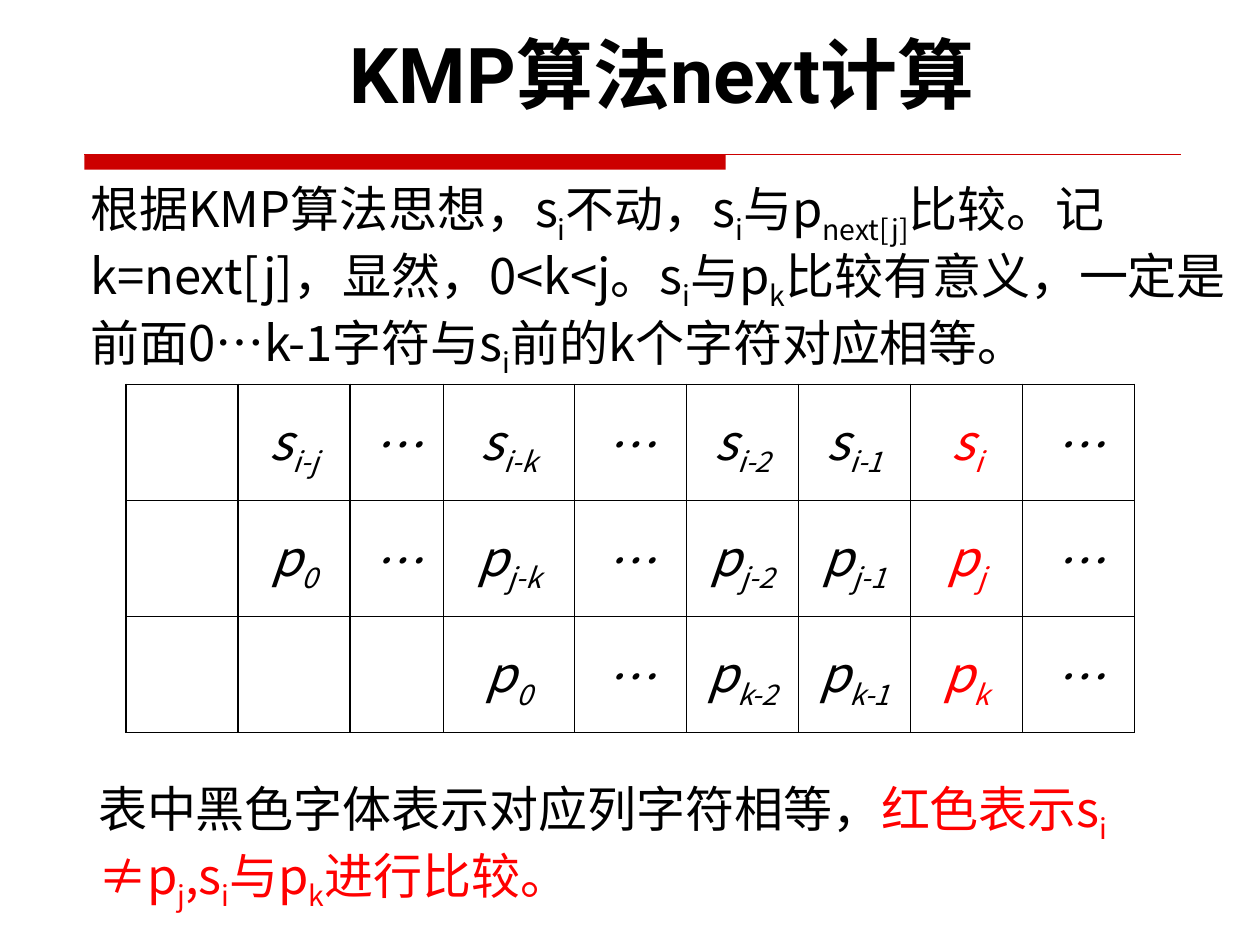
from dataclasses import dataclass

from lxml.etree import SubElement
from pptx import Presentation
from pptx.dml.color import RGBColor
from pptx.enum.shapes import MSO_CONNECTOR, MSO_SHAPE
from pptx.enum.text import MSO_ANCHOR, PP_ALIGN
from pptx.oxml.ns import qn
from pptx.util import Cm, Pt


@dataclass(frozen=True)
class Theme:
    black: RGBColor = RGBColor(0x00, 0x00, 0x00)
    white: RGBColor = RGBColor(0xFF, 0xFF, 0xFF)
    red: RGBColor = RGBColor(0xFF, 0x00, 0x00)
    rule: RGBColor = RGBColor(0xCC, 0x00, 0x00)
    body_font: str = "Noto Sans CJK SC"
    title_font: str = "Roboto"
    body_size: int = 28
    title_size: int = 44


THEME = Theme()
SUBSCRIPT = "-25000"

# In all texts, every second part between bars is a subscript
TITLE = "KMP算法next计算"
IDEA = (
    "根据KMP算法思想，s|i|不动，s|i|与p|next[j]|比较。记k=next[j]，显然，0<k<j。"
    "s|i|与p|k|比较有意义，一定是前面0…k-1字符与s|i|前的k个字符对应相等。"
)
LEGEND_BLACK = "表中黑色字体表示对应列字符相等，"
LEGEND_RED = "红色表示s|i |≠p|j|,s|i|与p|k|进行比较。"
ALIGNMENT_ROWS = [
    ["", "s|i-j", "…", "s|i-k", "…", "s|i-2", "s|i-1", "s|i", "…"],
    ["", "p|0", "…", "p|j-k", "…", "p|j-2", "p|j-1", "p|j", "…"],
    ["", "", "", "p|0", "…", "p|k-2", "p|k-1", "p|k", "…"],
]
COMPARED_COLUMN = 7
COLUMN_WIDTH = 2.26
SPECIAL_WIDTHS = {2: 1.88, 3: 2.64}
ROW_HEIGHT = 2.34


def add_text(paragraph, text, font=THEME.body_font, size=THEME.body_size,
             color=THEME.black, bold=False, italic=False, align=None):
    """Append text to a paragraph, with subscripts between bars."""
    paragraph.alignment = align
    for index, part in enumerate(text.split("|")):
        if not part:
            continue
        run = paragraph.add_run()
        run.text = part
        run.font.name = font
        run.font.size = Pt(size)
        run.font.bold = bold
        run.font.italic = italic
        run.font.color.rgb = color
        properties = run.font._element
        SubElement(properties, qn("a:ea"), typeface=THEME.body_font)
        if index % 2:
            properties.set("baseline", SUBSCRIPT)


def add_text_box(slide, left, top, width, height):
    """Add a wrapping text box and return its first paragraph."""
    shape = slide.shapes.add_textbox(Cm(left), Cm(top), Cm(width), Cm(height))
    shape.text_frame.word_wrap = True
    return shape.text_frame.paragraphs[0]


def add_title_rule(slide, left, top, bar_width, line_width, bar_height):
    bar = slide.shapes.add_shape(MSO_SHAPE.RECTANGLE, Cm(left), Cm(top),
                                 Cm(bar_width), Cm(bar_height))
    bar.shadow.inherit = False
    bar.fill.solid()
    bar.fill.fore_color.rgb = THEME.rule
    bar.line.fill.background()

    line = slide.shapes.add_connector(MSO_CONNECTOR.STRAIGHT, Cm(left), Cm(top),
                                      Cm(left + line_width), Cm(top))
    line.line.color.rgb = THEME.rule
    line.line.width = Pt(0.75)
    SubElement(line._element.spPr, qn("a:effectLst"))


def format_cell(cell):
    """Draw all four borders, then fill the cell."""
    properties = cell._tc.get_or_add_tcPr()
    for side in ("a:lnL", "a:lnR", "a:lnT", "a:lnB"):
        border = SubElement(properties, qn(side), w=str(Pt(1)))
        fill = SubElement(border, qn("a:solidFill"))
        SubElement(fill, qn("a:srgbClr"), val=str(THEME.black))
    cell.fill.solid()
    cell.fill.fore_color.rgb = THEME.white
    cell.vertical_anchor = MSO_ANCHOR.MIDDLE


def add_alignment_table(slide, left, top):
    widths = [SPECIAL_WIDTHS.get(column, COLUMN_WIDTH)
              for column in range(len(ALIGNMENT_ROWS[0]))]
    shape = slide.shapes.add_table(
        len(ALIGNMENT_ROWS), len(widths), Cm(left), Cm(top),
        Cm(sum(widths)), Cm(ROW_HEIGHT * len(ALIGNMENT_ROWS)))
    table = shape.table
    table.first_row = table.horz_banding = False
    for column, width in zip(table.columns, widths):
        column.width = Cm(width)
    for row, texts in zip(table.rows, ALIGNMENT_ROWS):
        row.height = Cm(ROW_HEIGHT)
        for index, (cell, text) in enumerate(zip(row.cells, texts)):
            format_cell(cell)
            color = THEME.red if index == COMPARED_COLUMN else THEME.black
            add_text(cell.text_frame.paragraphs[0], text, color=color,
                     italic=True, align=PP_ALIGN.CENTER)


def main():
    presentation = Presentation()
    presentation.slide_width = Cm(25.4)
    presentation.slide_height = Cm(19.05)
    slide = presentation.slides.add_slide(presentation.slide_layouts[6])

    # Title and the rule below it
    add_title_rule(slide, 1.7, 3.12, bar_width=12.93, line_width=22.1, bar_height=0.3)
    add_text(add_text_box(slide, 1.6, 0.41, 23.5, 2.13), TITLE, font=THEME.title_font,
             size=THEME.title_size, bold=True, align=PP_ALIGN.CENTER)

    # Idea and table of aligned characters
    add_text(add_text_box(slide, 1.57, 3.48, 24.33, 3.5), IDEA)
    add_alignment_table(slide, 2.54, 7.75)

    # Legend of the two colours
    legend = add_text_box(slide, 1.73, 15.57, 22, 2.64)
    add_text(legend, LEGEND_BLACK)
    add_text(legend, LEGEND_RED, color=THEME.red)

    presentation.save("out.pptx")


if __name__ == "__main__":
    main()
